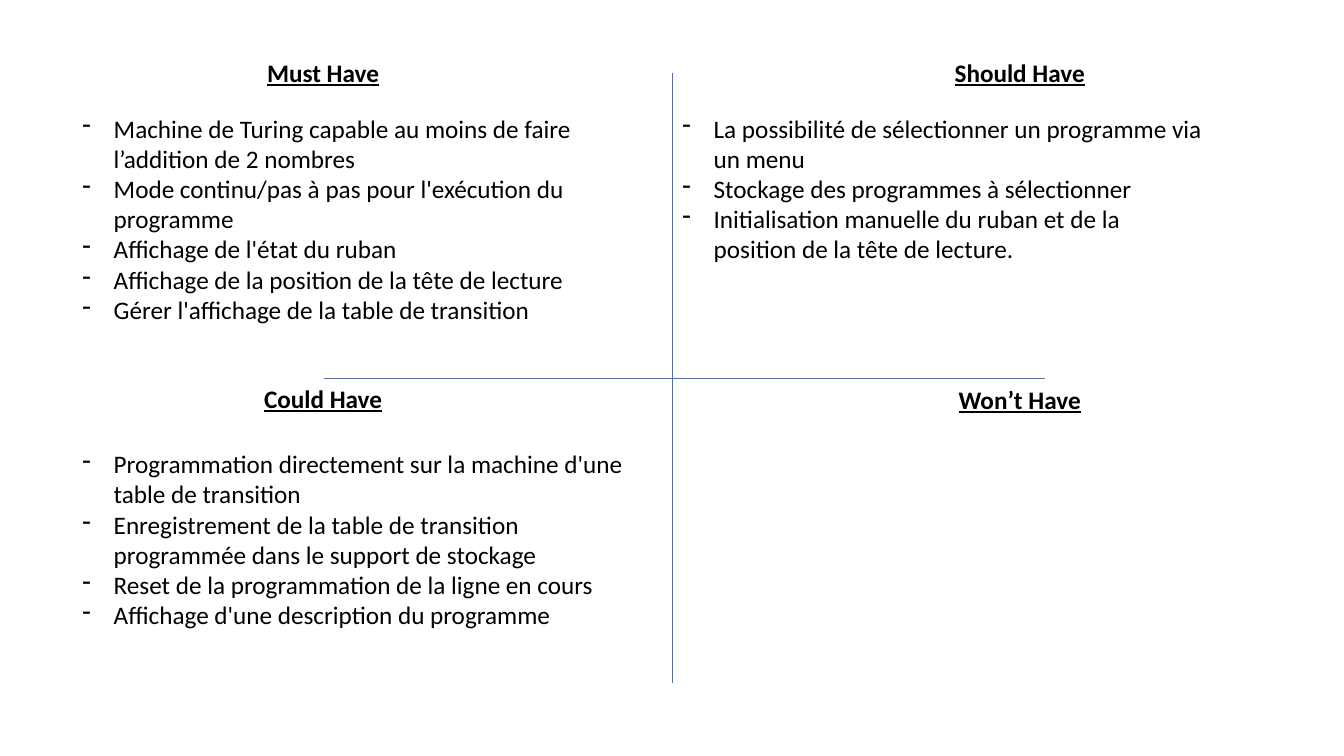
from lxml import etree
from pptx import Presentation
from pptx import util as u
from pptx.dml.color import RGBColor
from pptx.enum import shapes, text
from pptx.oxml.ns import qn

COLORS = {"text": "000000", "axis": "4472C4"}
FONT = "Calibri"
BLANK_LAYOUT = 6

# Each quadrant: heading, heading box, list box, list items
QUADRANTS = [
    ("Must Have", (2.55, 0.52, 1.32, 0.4), (0.72, 1.07, 5.6, 2.22), [
        "Machine de Turing capable au moins de faire l’addition de 2 nombres",
        "Mode continu/pas à pas pour l'exécution du programme",
        "Affichage de l'état du ruban",
        "Affichage de la position de la tête de lecture",
        "Gérer l'affichage de la table de transition",
    ]),
    ("Should Have", (9.37, 0.52, 1.5, 0.4), (6.67, 1.07, 5.38, 1.62), [
        "La possibilité de sélectionner un programme via un menu",
        "Stockage des programmes à sélectionner",
        "Initialisation manuelle du ruban et de la position de la tête de lecture.",
    ]),
    ("Could Have", (2.52, 3.75, 1.38, 0.4), (0.72, 4.4, 5.7, 1.92), [
        "Programmation directement sur la machine d'une table de transition",
        "Enregistrement de la table de transition programmée dans le support de stockage",
        "Reset de la programmation de la ligne en cours",
        "Affichage d'une description du programme",
    ]),
    ("Won’t Have", (9.41, 3.76, 1.43, 0.4), None, []),
]


def write(para, content, size=18, color="text", bold=None, underline=None):
    span = para.add_run()
    span.text = content
    font = span.font
    font.name, font.size = FONT, u.Pt(size)
    font.bold, font.underline = bold, underline
    font.color.rgb = RGBColor.from_string(COLORS[color])


def add_dash(para, indent=0.31):
    """Give the paragraph a dash bullet with a hanging indent."""
    props = para._p.get_or_add_pPr()
    props.set("marL", str(u.Inches(indent)))
    props.set("indent", str(-u.Inches(indent)))
    etree.SubElement(props, qn("a:buFontTx"))
    etree.SubElement(props, qn("a:buChar")).set("char", "-")


class Matrix:
    def __init__(self, slide):
        self.slide = slide

    def axis(self, x1, y1, x2, y2):
        line = self.slide.shapes.add_connector(
            shapes.MSO_CONNECTOR.STRAIGHT, *map(u.Inches, (x1, y1, x2, y2)))
        line.line.color.rgb = RGBColor.from_string(COLORS["axis"])
        line.line.width = u.Pt(0.5)
        etree.SubElement(line._element.spPr, qn("a:effectLst"))

    def text_frame(self, place, wrap):
        box = self.slide.shapes.add_textbox(*map(u.Inches, place))
        frame = box.text_frame
        frame.word_wrap = wrap
        frame.auto_size = text.MSO_AUTO_SIZE.SHAPE_TO_FIT_TEXT
        return frame

    def heading(self, content, place):
        frame = self.text_frame(place, wrap=False)
        write(frame.paragraphs[0], content, bold=True, underline=True)

    def dash_list(self, items, place):
        frame = self.text_frame(place, wrap=True)
        for index, item in enumerate(items):
            para = frame.add_paragraph() if index else frame.paragraphs[0]
            add_dash(para)
            write(para, item)


def main():
    deck = Presentation()
    deck.slide_width, deck.slide_height = u.Inches(13.33), u.Inches(7.5)
    matrix = Matrix(deck.slides.add_slide(deck.slide_layouts[BLANK_LAYOUT]))
    matrix.axis(6.67, 0.72, 6.67, 6.78)
    matrix.axis(10.36, 3.75, 3.21, 3.75)
    for title, title_place, list_place, items in QUADRANTS:
        matrix.heading(title, title_place)
        if items:
            matrix.dash_list(items, list_place)
    deck.save("out.pptx")


if __name__ == "__main__":
    main()
